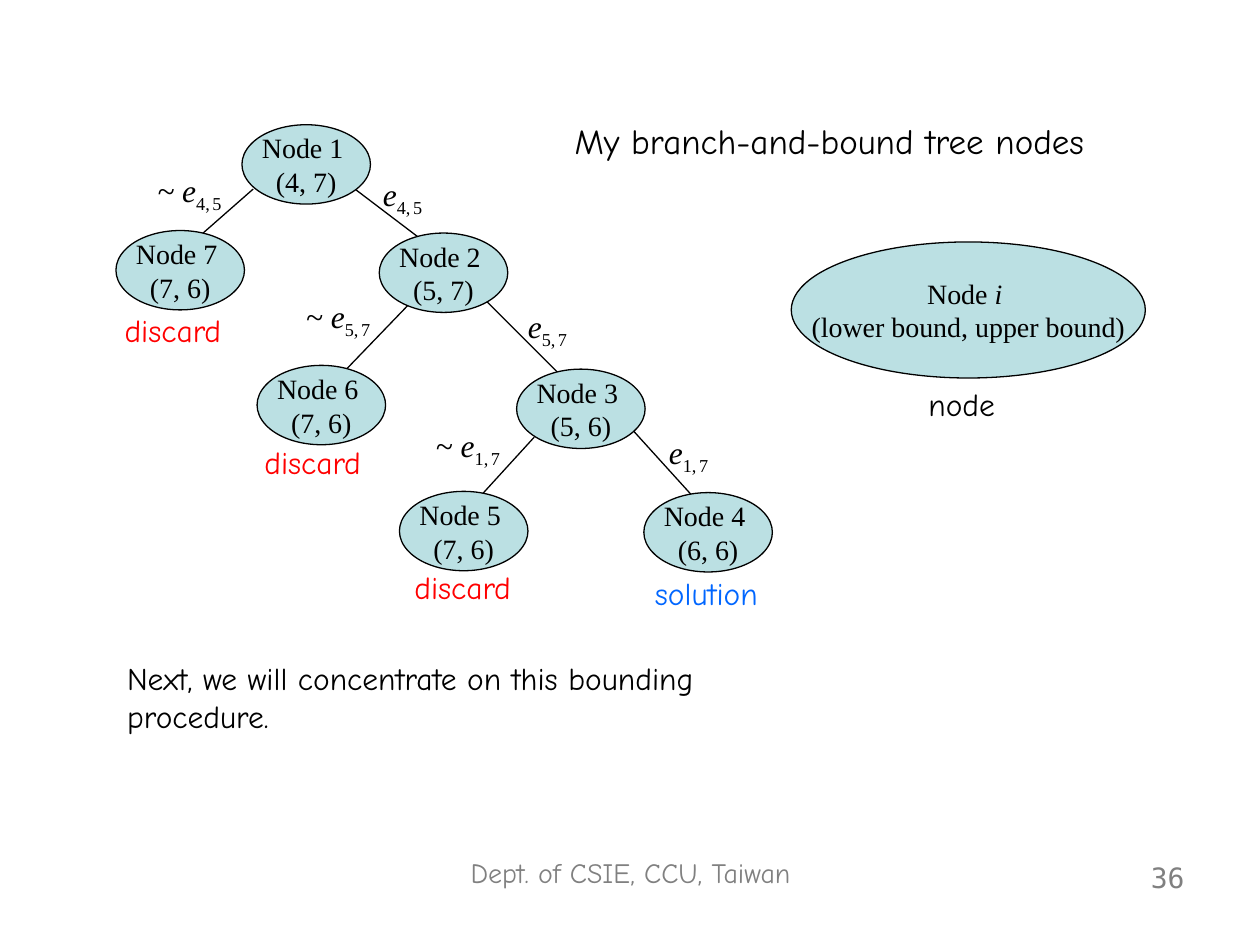
from lxml.etree import SubElement
from pptx import Presentation
from pptx.dml.color import RGBColor
from pptx.enum.shapes import MSO_CONNECTOR as Connector, MSO_SHAPE as Shape
from pptx.enum.text import MSO_ANCHOR as Anchor, MSO_AUTO_SIZE as AutoSize, PP_ALIGN as Align
from pptx.oxml.ns import qn
from pptx.util import Inches, Pt

SERIF, COMIC, MONO = "Times New Roman", "Comic Neue", "DejaVu Sans Mono"
BLACK, GREY, RED, BLUE, TEAL = "000000", "808080", "FF0000", "0066FF", "BBE0E3"
NODE_WIDTH, NODE_HEIGHT = 1.02, 0.63

NODES = [
    ("1", "(4, 7)", 1.92, 0.99),
    ("2", "(5, 7)", 3.01, 1.85),
    ("3", "(5, 6)", 4.1, 2.93),
    ("4", "(6, 6)", 5.11, 3.91),
    ("5", "(7, 6)", 3.17, 3.9),
    ("6", "(7, 6)", 2.04, 2.9),
    ("7", "(7, 6)", 0.92, 1.83),
]
BRANCHES = [
    (2.79, 1.48, 3.33, 1.89),
    (2.01, 1.5, 1.6, 1.86),
    (3.82, 2.35, 4.51, 3.04),
    (3.26, 2.4, 2.74, 2.94),
    (5, 3.39, 5.49, 3.93),
    (4.24, 3.47, 3.82, 3.93),
]
EDGE_LABELS = [
    ("e", "4", "5", 2.94, 1.34, 0.59),
    ("~ e", "4", "5", 1.15, 1.31, 0.89),
    ("e", "5", "7", 4.09, 2.39, 0.59),
    ("~ e", "5", "7", 2.33, 2.31, 0.79),
    ("e", "1", "7", 5.21, 3.39, 0.59),
    ("~ e", "1", "7", 3.36, 3.33, 0.79),
]
NOTES = [
    ("node", BLACK, 7.27, 3.01, 0.84, 0.4),
    ("discard", RED, 0.89, 2.42, 1.12, 0.4),
    ("discard", RED, 2, 3.47, 1.12, 0.4),
    ("discard", RED, 3.19, 4.46, 1.12, 0.4),
    ("solution", BLUE, 5.1, 4.51, 1.13, 0.4),
    ("Next, we will concentrate on this bounding procedure.", BLACK, 0.91, 5.18, 4.92, 0.7),
]


def rgb(value):
    """Return the colour for a hex string."""
    return RGBColor.from_string(value)


def add_span(para, text, size, font, color=BLACK, italic=False, subscript=False):
    """Add one formatted run to a paragraph."""
    span = para.add_run()
    span.text = text
    span.font.size = Pt(size)
    span.font.name = font
    span.font.italic = italic
    span.font.color.rgb = rgb(color)
    if subscript:
        span._r.get_or_add_rPr().set("baseline", "-25000")


def add_text_box(page, left, top, width, height, align=Align.LEFT):
    """Add a wrapping text box and return its first paragraph."""
    box = page.shapes.add_textbox(Inches(left), Inches(top), Inches(width), Inches(height))
    box.text_frame.word_wrap = True
    para = box.text_frame.paragraphs[0]
    para.alignment = align
    return para


def add_title(page, text):
    """Place and fill the title placeholder."""
    title = page.shapes.title
    title.left, title.top = Inches(4.46), Inches(0.9)
    title.width, title.height = Inches(4.58), Inches(0.44)
    frame = title.text_frame
    frame.vertical_anchor = Anchor.TOP
    frame.auto_size = AutoSize.NONE
    para = frame.paragraphs[0]
    para.alignment = Align.LEFT
    add_span(para, text, 20, COMIC)


def add_branch(page, x1, y1, x2, y2):
    """Draw a tree branch between two points."""
    branch = page.shapes.add_connector(
        Connector.STRAIGHT, Inches(x1), Inches(y1), Inches(x2), Inches(y2))
    branch.line.color.rgb = rgb(BLACK)
    branch.line.width = Pt(0.75)
    SubElement(branch._element.spPr, qn("a:effectLst"))


def add_node(page, name, bounds, left, top, width=NODE_WIDTH, height=NODE_HEIGHT):
    """Draw an ellipse with a list of name spans above its bounds."""
    node = page.shapes.add_shape(
        Shape.OVAL, Inches(left), Inches(top), Inches(width), Inches(height))
    node.shadow.inherit = False
    node.fill.solid()
    node.fill.fore_color.rgb = rgb(TEAL)
    node.line.color.rgb = rgb(BLACK)
    node.line.width = Pt(0.75)
    frame = node.text_frame
    frame.word_wrap = False
    frame.vertical_anchor = Anchor.MIDDLE
    for para, spans in ((frame.paragraphs[0], name), (frame.add_paragraph(), [(bounds, False)])):
        para.alignment = Align.CENTER
        for text, italic in spans:
            add_span(para, text, 16, SERIF, italic=italic)


def add_edge_label(page, symbol, start, end, left, top, width):
    """Write an edge symbol with its two subscripts."""
    para = add_text_box(page, left, top, width, 0.44)
    add_span(para, symbol, 18, SERIF, italic=True)
    for text, size in ((f"{start},", 18), (" ", 10), (end, 18)):
        add_span(para, text, size, SERIF, subscript=True)


def main():
    """Build the slide and save it."""
    deck = Presentation()
    deck.slide_width, deck.slide_height = Inches(10), Inches(7.5)
    page = deck.slides.add_slide(deck.slide_layouts[5])
    add_title(page, "My branch-and-bound tree nodes")
    for branch in BRANCHES:
        add_branch(page, *branch)
    for number, bounds, left, top in NODES:
        add_node(page, [(f"Node {number} ", False)], bounds, left, top)
    add_node(page, [("Node ", False), ("i ", True)], "(lower bound, upper bound)",
             6.28, 1.92, 2.81, 1.08)
    for label in EDGE_LABELS:
        add_edge_label(page, *label)
    for text, color, *place in NOTES:
        add_span(add_text_box(page, *place), text, 18, COMIC, color)
    footer = add_text_box(page, 3.19, 6.74, 3.63, 0.52, Align.CENTER)
    add_span(footer, "Dept. of CSIE, CCU, Taiwan", 16, COMIC, GREY)
    page_number = add_text_box(page, 7.17, 6.78, 2.33, 0.52, Align.RIGHT)
    add_span(page_number, "36", 16, MONO, GREY)
    deck.save("out.pptx")


if __name__ == "__main__":
    main()
